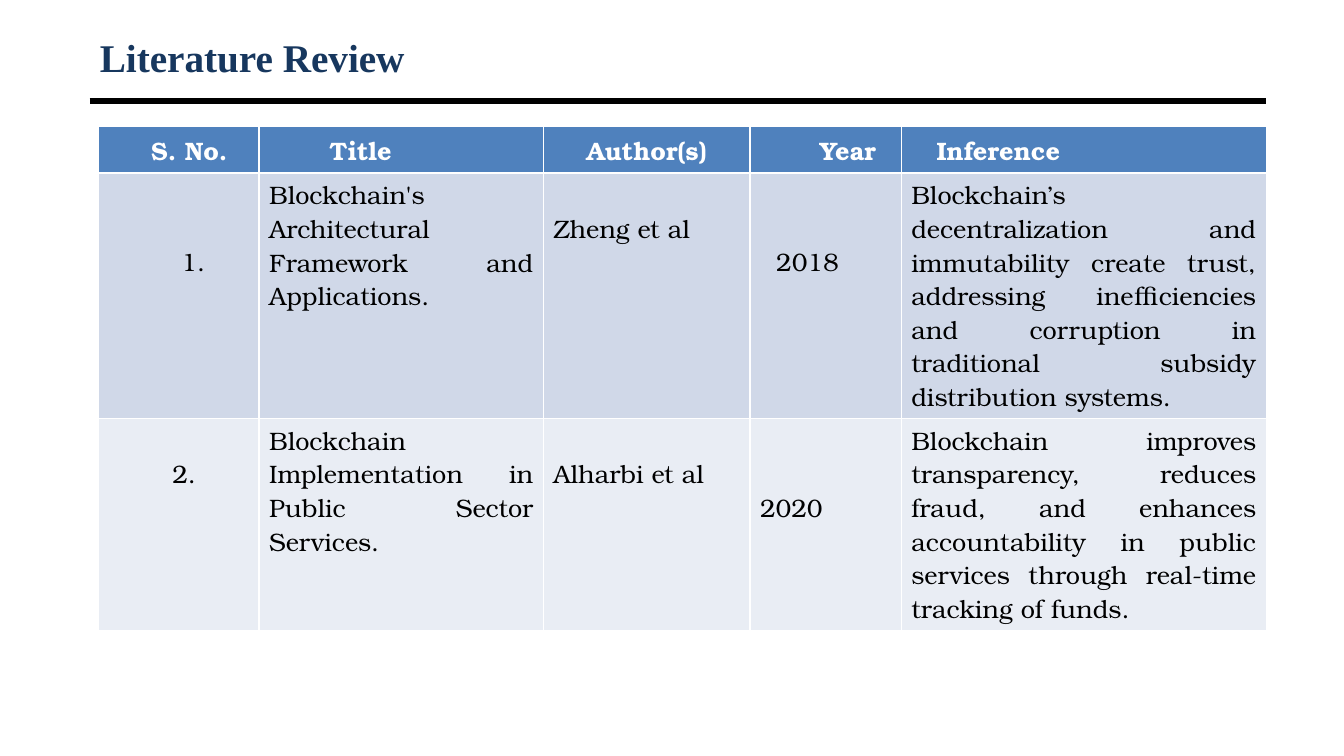
from lxml import etree
from pptx import Presentation
from pptx.dml.color import RGBColor
from pptx.enum.shapes import MSO_CONNECTOR
from pptx.enum.text import MSO_ANCHOR, PP_ALIGN
from pptx.oxml.ns import qn
from pptx.util import Inches, Pt

STRAIGHT = MSO_CONNECTOR.STRAIGHT
MIDDLE, TOP = MSO_ANCHOR.MIDDLE, MSO_ANCHOR.TOP
LEFT, JUSTIFY = PP_ALIGN.LEFT, PP_ALIGN.JUSTIFY

COLORS = {"title": "17375E", "rule": "000000", "header": "4F81BD",
          "header_text": "FFFFFF", "text": "000000",
          "odd": "D0D8E8", "even": "E9EDF4"}
LINE_HEIGHT = 0.333
INSET = 0.1


def color(name):
    return RGBColor.from_string(COLORS[name])


def format_text(frame, font_format, color_name, alignment):
    paragraph = frame.paragraphs[0]
    paragraph.alignment = alignment
    font = paragraph.runs[0].font
    for attribute, value in font_format.items():
        setattr(font, attribute, value)
    font.color.rgb = color(color_name)


presentation = Presentation()
presentation.slide_width = Inches(13.33)
presentation.slide_height = Inches(7.5)
slide = presentation.slides.add_slide(presentation.slide_layouts[5])

# Title
title = slide.shapes.title
title_box = {"left": 0.89, "top": 0.3, "width": 11.67, "height": 0.53}
for attribute, value in title_box.items():
    setattr(title, attribute, Inches(value))
title.text_frame.text = "Literature Review"
title.text_frame.vertical_anchor = MIDDLE
format_text(title.text_frame,
            {"name": "Times New Roman", "size": Pt(28), "bold": True},
            "title", LEFT)

# Rule under the title
rule = slide.shapes.add_connector(
    STRAIGHT, Inches(0.89), Inches(1), Inches(12.56), Inches(1))
rule.line.color.rgb = color("rule")
rule.line.width = Pt(4.5)
etree.SubElement(rule._element.spPr, qn("a:effectLst"))

# Review entries: text, left inset, lines left free above
review = [
    [("S. No.", 0.52, 0), ("Title", 0.7, 0), ("Author(s)", 0.43, 0),
     ("Year", 0.69, 0), ("Inference", 0.35, 0)],
    [("1.", 0.82, 2),
     ("Blockchain's Architectural Framework and Applications.", INSET, 0),
     ("Zheng et al", INSET, 1),
     ("2018", 0.26, 2),
     ("Blockchain’s decentralization and immutability create trust, "
      "addressing inefficiencies and corruption in traditional subsidy "
      "distribution systems.", INSET, 0)],
    [("2.", 0.73, 1),
     ("Blockchain Implementation in Public Sector Services.", INSET, 0),
     ("Alharbi et al", INSET, 1),
     ("2020", INSET, 2),
     ("Blockchain improves transparency, reduces fraud, and enhances "
      "accountability in public services through real-time tracking of "
      "funds.", INSET, 0)],
]
column_widths = [1.59, 2.82, 2.05, 1.5, 3.62]
row_heights = [0.46, 2.43, 2.1]
row_fills = ["header", "odd", "even"]

# Review table
review_table = slide.shapes.add_table(
    len(review), len(column_widths), Inches(0.98), Inches(1.25),
    Inches(sum(column_widths)), Inches(sum(row_heights))).table
for column, width in zip(review_table.columns, column_widths):
    column.width = Inches(width)
for row, height, fill, entries in zip(
        review_table.rows, row_heights, row_fills, review):
    row.height = Inches(height)
    is_header = fill == "header"
    for cell, (text, indent, lines_above) in zip(row.cells, entries):
        cell.text = text
        cell.vertical_anchor = TOP
        cell.margin_left = Inches(indent)
        cell.margin_top = Inches(0.05 + lines_above * LINE_HEIGHT)
        cell.fill.solid()
        cell.fill.fore_color.rgb = color(fill)
        format_text(cell.text_frame,
                    {"name": "TeX Gyre Bonum", "size": Pt(18),
                     "bold": is_header},
                    "header_text" if is_header else "text", JUSTIFY)

presentation.save("out.pptx")
